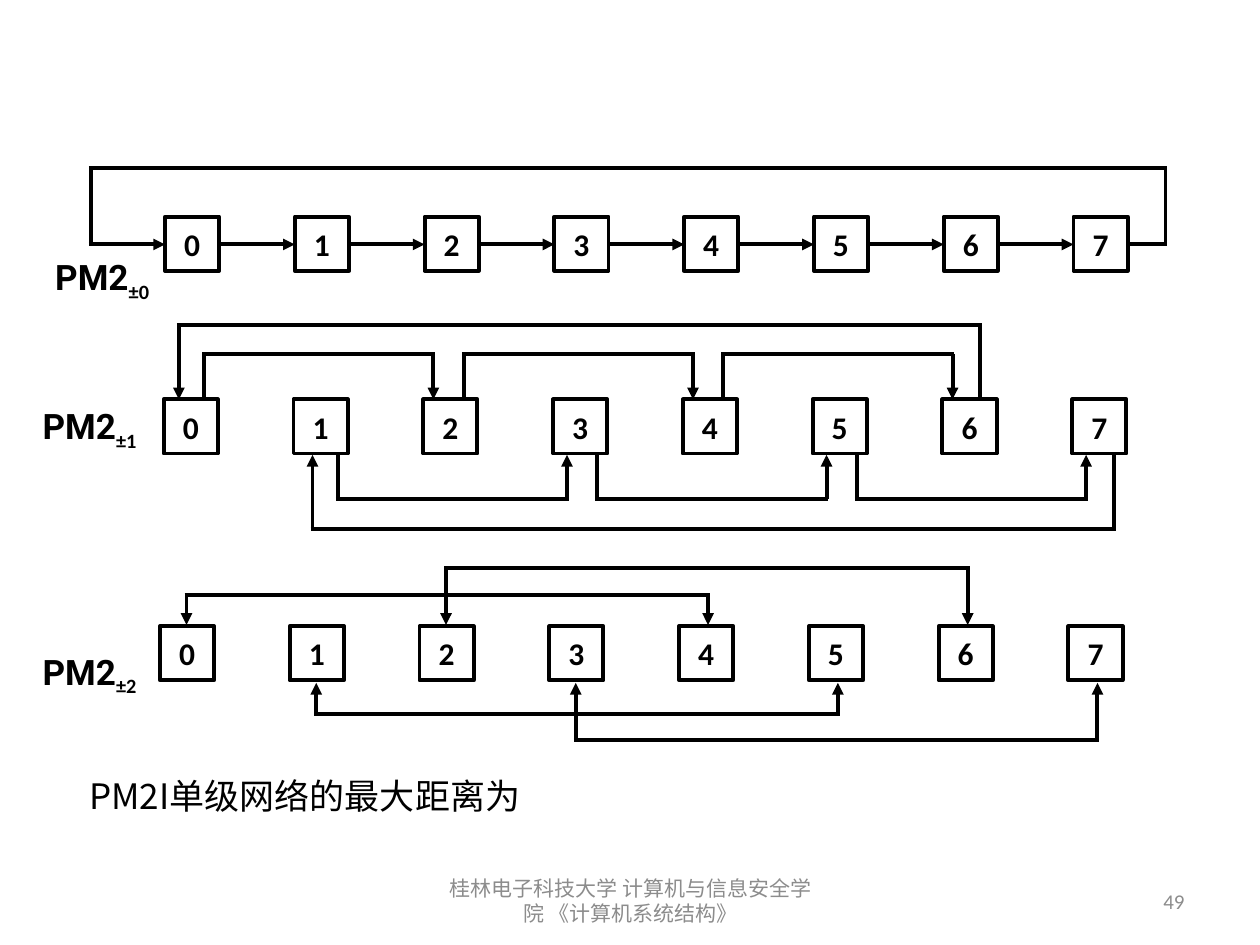
from lxml.etree import SubElement
from pptx import Presentation
from pptx.dml.color import RGBColor
from pptx.enum.shapes import MSO_CONNECTOR, MSO_SHAPE
from pptx.enum.text import MSO_ANCHOR, PP_ALIGN
from pptx.oxml.ns import qn
from pptx.util import Inches, Pt

COLORS = {"ink": "000000", "node": "FFFFFF", "footer": "8C8C8C"}
NODES, PITCH, SIDE = 8, 1.03, 0.43
OVERLAP = 0.015  # closes the corners where two lines meet


def color(name):
    return RGBColor.from_string(COLORS[name])


def add_run(p, text, size, font="Calibri", ink="ink", bold=False, baseline=None):
    r = p.add_run()
    r.text = text
    r.font.size, r.font.name, r.font.bold = Pt(size), font, bold
    r.font.color.rgb = color(ink)
    rPr = r._r.get_or_add_rPr()
    SubElement(rPr, qn("a:ea")).set("typeface", "Noto Sans CJK SC")
    if baseline:
        rPr.set("baseline", str(baseline * 1000))


def add_text(s, left, top, width, height, align=PP_ALIGN.LEFT,
             anchor=MSO_ANCHOR.MIDDLE, wrap=True):
    tf = s.shapes.add_textbox(Inches(left), Inches(top),
                              Inches(width), Inches(height)).text_frame
    tf.word_wrap, tf.vertical_anchor = wrap, anchor
    p = tf.paragraphs[0]
    p.alignment = align
    return p


def add_line(shapes, x1, y1, x2, y2, arrow=False):
    line = shapes.add_connector(MSO_CONNECTOR.STRAIGHT, Inches(x1), Inches(y1),
                                Inches(x2), Inches(y2))
    line.line.color.rgb = color("ink")
    line.line.width = Pt(2.25)
    if arrow:
        SubElement(line.line._get_or_add_ln(), qn("a:tailEnd")).set("type", "triangle")
    SubElement(line._element.spPr, qn("a:effectLst"))


def add_bracket(shapes, start, end, y, bus, both=False):
    """Path from start to end by way of a bus line; both puts arrows on each end."""
    low, high = min(start, end), max(start, end)
    if both:
        add_line(shapes, start, bus, start, y, arrow=True)
    else:
        add_line(shapes, start, y, start, bus)
    add_line(shapes, low - OVERLAP, bus, high + OVERLAP, bus)
    add_line(shapes, end, bus, end, y, arrow=True)


def add_nodes(s, left, top):
    for i in range(NODES):
        sp = s.shapes.add_shape(MSO_SHAPE.RECTANGLE, Inches(left + i * PITCH),
                                Inches(top), Inches(SIDE), Inches(SIDE))
        sp.shadow.inherit = False
        sp.fill.solid()
        sp.fill.fore_color.rgb = color("node")
        sp.line.color.rgb = color("ink")
        sp.line.width = Pt(2.25)
        sp.text_frame.vertical_anchor = MSO_ANCHOR.MIDDLE
        p = sp.text_frame.paragraphs[0]
        p.alignment = PP_ALIGN.CENTER
        add_run(p, str(i), 18, bold=True)


def add_label(s, left, top, index):
    p = add_text(s, left, top, 1.03, 0.44, anchor=MSO_ANCHOR.TOP, wrap=False)
    add_run(p, "PM2", 20, "Roboto", bold=True)
    add_run(p, f"±{index}", 20, bold=True, baseline=-25)


def ring_row(s, left, top):
    add_nodes(s, left, top)
    mid, bus = top + 0.22, top - 0.39
    start, end = left - 0.59, left + 7.94
    # Steps from each node to the next
    for i in range(NODES - 1):
        x = left + i * PITCH
        add_line(s.shapes, x + SIDE, mid, x + PITCH, mid, arrow=True)
    # Return from the last node to the first
    add_line(s.shapes, left + 7 * PITCH + SIDE, mid, end + OVERLAP, mid)
    add_line(s.shapes, end, mid, end, bus)
    add_line(s.shapes, start - OVERLAP, bus, end + OVERLAP, bus)
    add_line(s.shapes, start, bus, start, mid)
    add_line(s.shapes, start - OVERLAP, mid, left, mid, arrow=True)


def step_two_row(s, left, top):
    add_nodes(s, left, top)
    # Even nodes loop above, odd nodes below: first node, edge, two buses, shift
    for first, edge, near, far, shift in ((0, 0, -0.36, -0.59, 0),
                                          (1, 0.44, 0.79, 1.03, 0.03)):
        x, y = left + shift, top + edge
        for i in range(first, first + 5, 2):
            add_bracket(s.shapes, x + i * PITCH + 0.32, x + (i + 2) * PITCH + 0.08,
                        y, top + near)
        add_bracket(s.shapes, x + (first + 6) * PITCH + 0.3,
                    x + first * PITCH + 0.12, y, top + far)


def step_four_row(s, left, top):
    add_nodes(s, left, top)
    # Node, edge and bus of each two-way link to the node four places on
    for i, edge, bus in ((0, -0.01, -0.25), (2, -0.01, -0.46),
                         (1, 0.45, 0.7), (3, 0.45, 0.9)):
        x = left + i * PITCH + 0.21
        link = s.shapes.add_group_shape()
        add_bracket(link.shapes, x, x + 4 * PITCH + 0.02, top + edge, top + bus,
                    both=True)


def footer(s, top, height):
    p = add_text(s, 3.42, top, 3.17, height, PP_ALIGN.CENTER)
    add_run(p, "桂林电子科技大学 计算机与信息安全学院 《计算机系统结构》", 12, ink="footer")
    p = add_text(s, 7.17, top, 2.33, height, PP_ALIGN.RIGHT)
    add_run(p, "49", 12, ink="footer")


def main():
    prs = Presentation()
    prs.slide_width, prs.slide_height = Inches(10), Inches(7.5)
    s = prs.slides.add_slide(prs.slide_layouts[6])

    # Three interconnection functions
    ring_row(s, 1.31, 1.72)
    step_two_row(s, 1.3, 3.17)
    step_four_row(s, 1.27, 4.97)
    for i, (left, top) in enumerate(((0.34, 1.98), (0.24, 3.16), (0.24, 5.11))):
        add_label(s, left, top, i)

    # Closing statement
    p = add_text(s, 0.61, 6.1, 3.62, 0.43)
    add_run(p, "PM2I单级网络的最大距离为", 20, "Noto Sans CJK SC")

    footer(s, 6.95, 0.4)
    prs.save("out.pptx")


if __name__ == "__main__":
    main()
